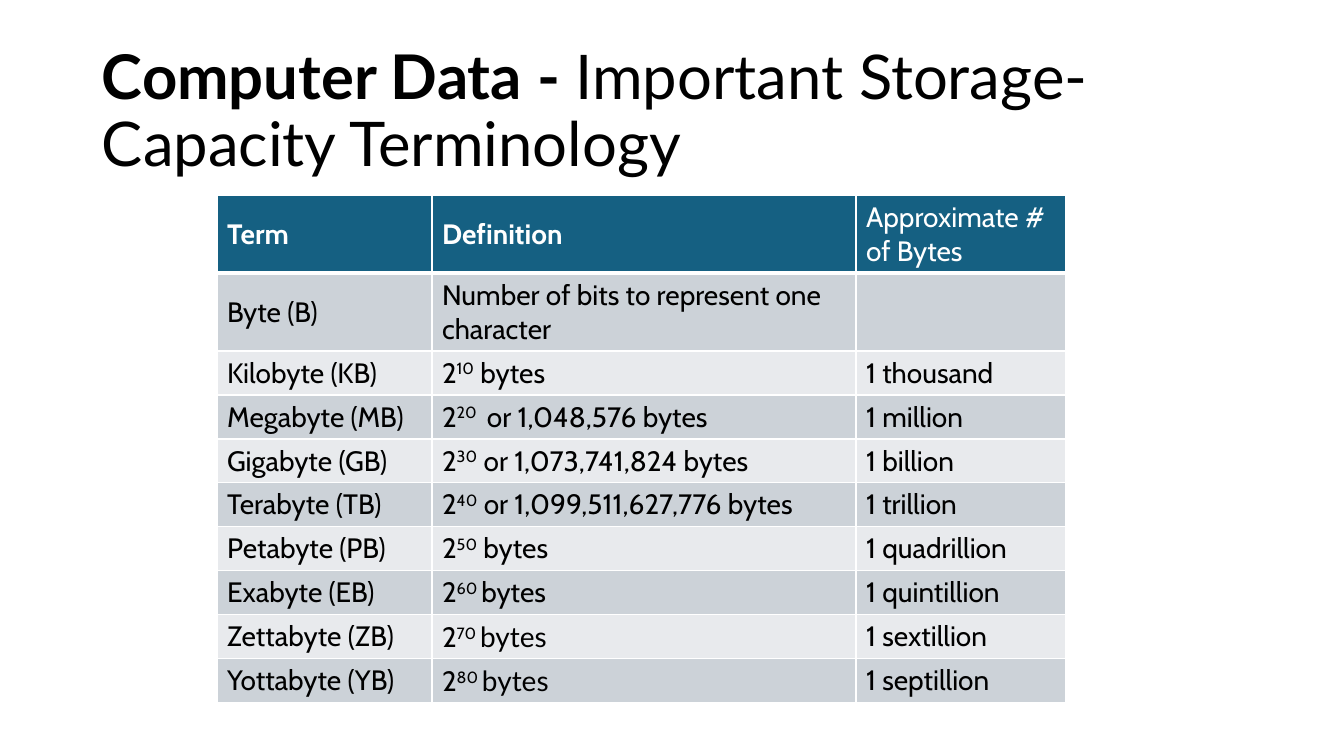
import lxml.etree
import pptx
import pptx.dml.color
import pptx.enum.text
import pptx.oxml.ns
import pptx.util

BLACK = pptx.dml.color.RGBColor(0x00, 0x00, 0x00)
WHITE = pptx.dml.color.RGBColor(0xFF, 0xFF, 0xFF)
TEAL = pptx.dml.color.RGBColor(0x15, 0x60, 0x82)
GREY = pptx.dml.color.RGBColor(0xCC, 0xD2, 0xD8)
PALE = pptx.dml.color.RGBColor(0xE8, 0xEA, 0xED)

MIDDLE = pptx.enum.text.MSO_ANCHOR.MIDDLE
TOP = pptx.enum.text.MSO_ANCHOR.TOP

HEADINGS = [("Term", True), ("Definition", True), ("Approximate # of Bytes", False)]
UNITS = [
    ("Kilobyte (KB)", "10", " bytes", "1 thousand"),
    ("Megabyte (MB)", "20 ", " or 1,048,576 bytes", "1 million"),
    ("Gigabyte (GB)", "30", " or 1,073,741,824 bytes", "1 billion"),
    ("Terabyte (TB)", "40", " or 1,099,511,627,776 bytes", "1 trillion"),
    ("Petabyte (PB)", "50", " bytes", "1 quadrillion"),
    ("Exabyte (EB)", "60 ", "bytes", "1 quintillion"),
    ("Zettabyte (ZB)", "70 ", "bytes", "1 sextillion"),
    ("Yottabyte (YB)", "80 ", "bytes", "1 septillion"),
]
LATO_TERMS = ("Zettabyte (ZB)", "Yottabyte (YB)")
COLUMN_WIDTHS = [215, 424, 210]
ROW_HEIGHTS = [78, 78] + [44] * len(UNITS)


def px(length):
    """Turn whole pixels into EMU."""
    return pptx.util.Emu(round(length * 914400 / 100.8))


class Page:
    """Holds the style and the current slide."""

    title_font = "Lato"
    table_font = "Cabin"

    def __init__(self, deck):
        self.slide = deck.slides.add_slide(deck.slide_layouts[6])

    def style(self, font, name, size, color):
        """Set the face, size and colour of a font."""
        font.name = name
        font.size = pptx.util.Pt(size)
        font.color.rgb = color

    def title(self, left, top, width, height, spans):
        """Add a title made of bold and regular spans."""
        box = self.slide.shapes.add_textbox(px(left), px(top), px(width), px(height))
        frame = box.text_frame
        frame.word_wrap = True
        frame.vertical_anchor = MIDDLE
        para = frame.paragraphs[0]
        para.line_spacing = 0.9
        self.style(para.font, self.title_font, 44, BLACK)
        for text, bold in spans:
            span = para.add_run()
            span.text = text
            span.font.bold = bold

    def table(self, left, top, widths, heights):
        """Add an empty table with the given column widths and row heights."""
        frame = self.slide.shapes.add_table(
            len(heights), len(widths), px(left), px(top), px(sum(widths)), px(sum(heights)))
        for column, width in zip(frame.table.columns, widths):
            column.width = px(width)
        for row, height in zip(frame.table.rows, heights):
            row.height = px(height)
        return frame.table

    def border(self, cell, side, points):
        """Draw one white side of a cell."""
        tag = pptx.oxml.ns.qn
        line = lxml.etree.SubElement(cell._tc.get_or_add_tcPr(), tag("a:ln" + side))
        line.set("w", str(pptx.util.Pt(points)))
        fill = lxml.etree.SubElement(line, tag("a:solidFill"))
        lxml.etree.SubElement(fill, tag("a:srgbClr")).set("val", str(WHITE))

    def cell(self, cell, fill, color, spans, bold=False, anchor=MIDDLE, bottom=1):
        """Fill a cell with spans of text, baseline shift and optional font."""
        for side, points in zip("LRTB", (1, 1, 1, bottom)):
            self.border(cell, side, points)
        cell.fill.solid()
        cell.fill.fore_color.rgb = fill
        cell.vertical_anchor = anchor
        para = cell.text_frame.paragraphs[0]
        self.style(para.font, self.table_font, 20, color)
        para.font.bold = bold
        for text, shift, face in spans:
            span = para.add_run()
            span.text = text
            if shift:
                span._r.get_or_add_rPr().set("baseline", str(shift * 1000))
            if face:
                span.font.name = face


def plain(text):
    """Give a single span in the table font."""
    return [(text, 0, None)]


def main():
    """Build the slide and save it."""
    deck = pptx.Presentation()
    deck.slide_width, deck.slide_height = px(1344), px(756)
    page = Page(deck)
    page.title(92, 40, 1159, 146, [
        ("Computer Data - ", True), ("Important Storage-Capacity Terminology", False)])

    table = page.table(217, 195, COLUMN_WIDTHS, ROW_HEIGHTS)
    for column, (heading, bold) in enumerate(HEADINGS):
        page.cell(table.cell(0, column), TEAL, WHITE, plain(heading), bold, bottom=3)

    rows = [(plain("Byte (B)"), plain("Number of bits to represent one character"), [])]
    for term, power, tail, count in UNITS:
        face = page.title_font if term in LATO_TERMS else None
        definition = [("2", 0, None), (power, 30, None), (tail, 0, face)]
        rows.append((plain(term), definition, plain(count)))
    for number, row in enumerate(rows, start=1):
        fill = GREY if number % 2 else PALE
        anchor = MIDDLE if number < 6 else TOP
        for column, spans in enumerate(row):
            page.cell(table.cell(number, column), fill, BLACK, spans, anchor=anchor)

    deck.save("out.pptx")


if __name__ == "__main__":
    main()
